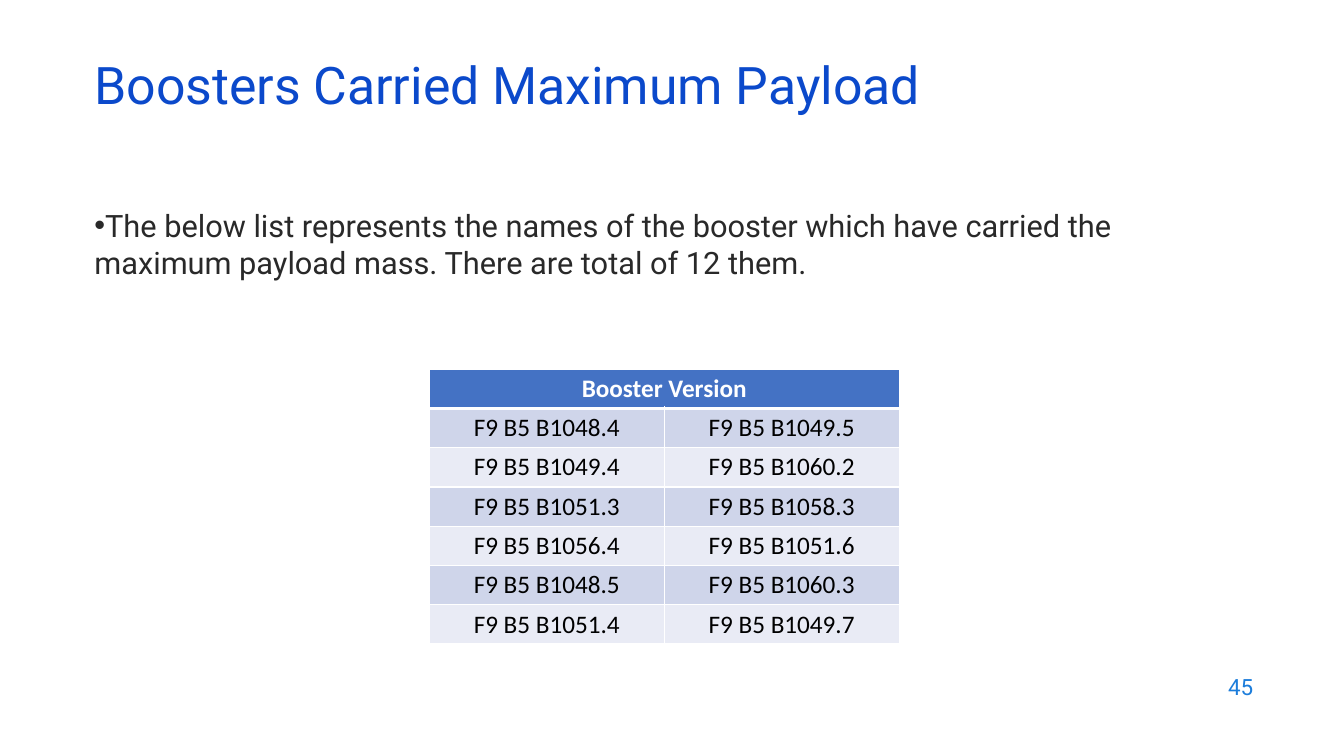
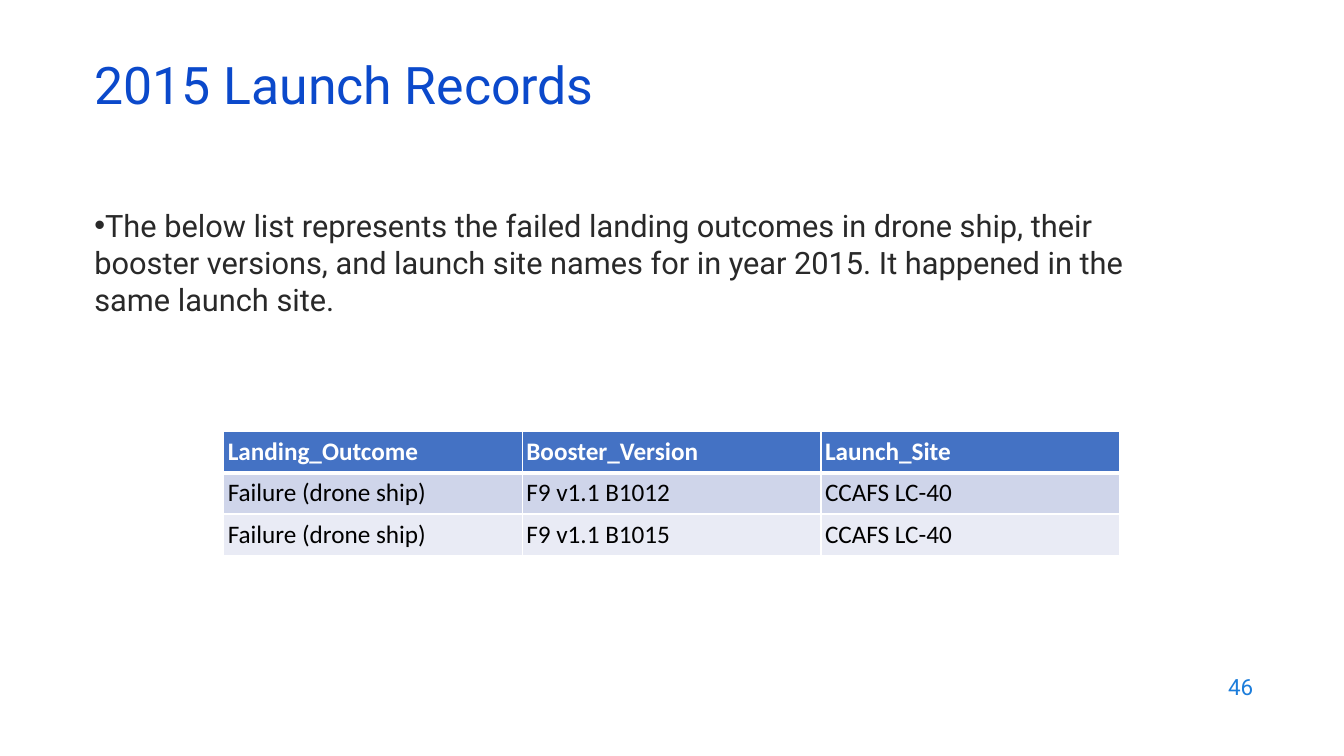
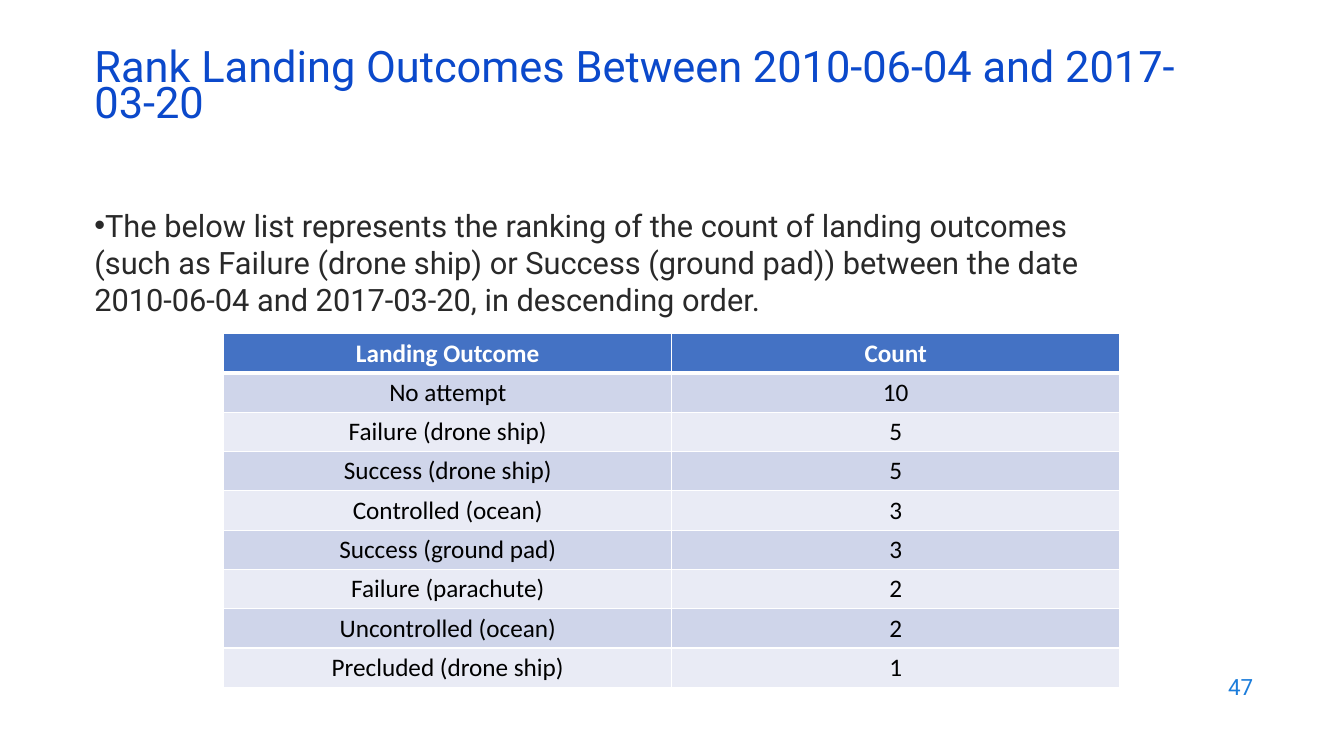
from lxml.etree import SubElement
from pptx import Presentation
from pptx.dml.color import RGBColor
from pptx.enum.text import MSO_ANCHOR as Anchor, PP_ALIGN as Align
from pptx.oxml.ns import qn
from pptx.util import Cm, Pt

TITLE_BLUE = RGBColor(0x0B, 0x49, 0xCB)
NUMBER_BLUE = RGBColor(0x1C, 0x7D, 0xDB)
BODY_GREY = RGBColor(0x29, 0x29, 0x29)
BLACK = RGBColor(0x00, 0x00, 0x00)
WHITE = RGBColor(0xFF, 0xFF, 0xFF)
HEADER_FILL = RGBColor(0x44, 0x72, 0xC4)
BAND_FILLS = (RGBColor(0xE9, 0xEB, 0xF5), RGBColor(0xCF, 0xD5, 0xEA))

TEXT_FONT, TABLE_FONT = "Roboto", "Calibri"
FIRST_NUMBER = 45

# Boxes are left, top, width, height in cm.
TITLE_BOX = (2.13, 1.5, 29.21, 1.52)
BODY_BOX = (2.13, 5.08, 27.08, 12.09)
NUMBER_BOX = (24.21, 16.74, 7.62, 1.12)
CELL_MARGIN = 0.1

# A header with a single entry spans the whole table.
SLIDES = [
    {
        "title": "Boosters Carried Maximum Payload",
        "body": "The below list represents the names of the booster which have carried "
                "the maximum payload mass. There are total of 12 them.",
        "header": ["Booster Version"],
        "rows": [
            ("F9 B5 B1048.4", "F9 B5 B1049.5"),
            ("F9 B5 B1049.4", "F9 B5 B1060.2"),
            ("F9 B5 B1051.3", "F9 B5 B1058.3"),
            ("F9 B5 B1056.4", "F9 B5 B1051.6"),
            ("F9 B5 B1048.5", "F9 B5 B1060.3"),
            ("F9 B5 B1051.4", "F9 B5 B1049.7"),
        ],
        "table": {"left": 10.82, "top": 9.3, "width": 11.84, "row_height": 0.99},
    },
    {
        "title": "2015 Launch Records",
        "body": "The below list represents the failed landing outcomes in drone ship, their "
                "booster versions, and launch site names for in year 2015. It happened in "
                "the same launch site.",
        "header": ["Landing_Outcome", "Booster_Version", "Launch_Site"],
        "rows": [
            ("Failure (drone ship)", "F9 v1.1 B1012", "CCAFS LC-40"),
            ("Failure (drone ship)", "F9 v1.1 B1015", "CCAFS LC-40"),
        ],
        "table": {"left": 5.64, "top": 10.87, "width": 22.58, "row_height": 1.04,
                  "align": Align.LEFT},
    },
    {
        "title": "Rank Landing Outcomes Between 2010-06-04 and 2017-03-20",
        "title_format": {"size": 31, "line_spacing": 0.7},
        "body": "The below list represents the ranking of the count of landing outcomes "
                "(such as Failure (drone ship) or Success (ground pad)) between the date "
                "2010-06-04 and 2017-03-20, in descending order.",
        "header": ["Landing Outcome", "Count"],
        "rows": [
            ("No attempt", "10"),
            ("Failure (drone ship)", "5"),
            ("Success (drone ship)", "5"),
            ("Controlled (ocean)", "3"),
            ("Success (ground pad)", "3"),
            ("Failure (parachute)", "2"),
            ("Uncontrolled (ocean)", "2"),
            ("Precluded (drone ship)", "1"),
        ],
        "table": {"left": 5.64, "top": 8.41, "width": 22.58, "row_height": 0.99},
    },
]


def write(frame, text, *, size, color, font=TEXT_FONT, bold=False, align=Align.LEFT,
          line_spacing=1.0, bullet=False):
    paragraph = frame.paragraphs[0]
    paragraph.alignment = align
    paragraph.line_spacing = line_spacing
    if bullet:
        properties = paragraph._p.get_or_add_pPr()
        properties.set("marL", "0")
        properties.set("indent", "0")
        SubElement(properties, qn("a:buFont"), typeface="Arial")
        SubElement(properties, qn("a:buChar"), char="•")
    run = paragraph.add_run()
    run.text = text
    run.font.name = font
    run.font.size = Pt(size)
    run.font.bold = bold
    run.font.color.rgb = color


def add_text(slide, box, text, anchor=Anchor.MIDDLE, **text_format):
    frame = slide.shapes.add_textbox(*map(Cm, box)).text_frame
    frame.word_wrap = True
    frame.vertical_anchor = anchor
    write(frame, text, **text_format)


def set_borders(cell, **widths):
    """Draw white borders; widths in points are keyed L, R, T, B in that order."""
    properties = cell._tc.get_or_add_tcPr()
    for side, width in widths.items():
        line = SubElement(properties, qn(f"a:ln{side}"), w=str(Pt(width)))
        SubElement(SubElement(line, qn("a:solidFill")), qn("a:srgbClr"), val=str(WHITE))


def add_table(slide, header, rows, *, left, top, width, row_height, align=Align.CENTER):
    column_count = len(rows[0])
    lines = [header, *rows]
    table = slide.shapes.add_table(
        len(lines), column_count,
        Cm(left), Cm(top), Cm(width), Cm(row_height * len(lines))).table
    if len(header) < column_count:
        table.cell(0, 0).merge(table.cell(0, column_count - 1))

    for row, values in enumerate(lines):
        is_header = row == 0
        for column in range(column_count):
            cell = table.cell(row, column)
            set_borders(cell, L=1, R=1, T=3 if row == 1 else 1, B=3 if is_header else 1)
            cell.fill.solid()
            cell.fill.fore_color.rgb = HEADER_FILL if is_header else BAND_FILLS[row % 2]
            cell.vertical_anchor = Anchor.MIDDLE
            cell.margin_left = cell.margin_right = Cm(CELL_MARGIN)
            cell.margin_top = cell.margin_bottom = Cm(CELL_MARGIN)
            if column < len(values):
                write(cell.text_frame, values[column], size=18, font=TABLE_FONT,
                      color=WHITE if is_header else BLACK, bold=is_header, align=align)


def main():
    deck = Presentation()
    deck.slide_width, deck.slide_height = Cm(33.87), Cm(19.05)
    blank = deck.slide_layouts[6]
    for number, content in enumerate(SLIDES, FIRST_NUMBER):
        slide = deck.slides.add_slide(blank)
        title_format = {"size": 37, "line_spacing": 0.8, **content.get("title_format", {})}
        add_text(slide, NUMBER_BOX, str(number), size=16, color=NUMBER_BLUE,
                 align=Align.RIGHT)
        add_text(slide, BODY_BOX, content["body"], anchor=Anchor.TOP, size=22,
                 color=BODY_GREY, bullet=True)
        add_text(slide, TITLE_BOX, content["title"], color=TITLE_BLUE, **title_format)
        add_table(slide, content["header"], content["rows"], **content["table"])
    deck.save("out.pptx")


if __name__ == "__main__":
    main()
